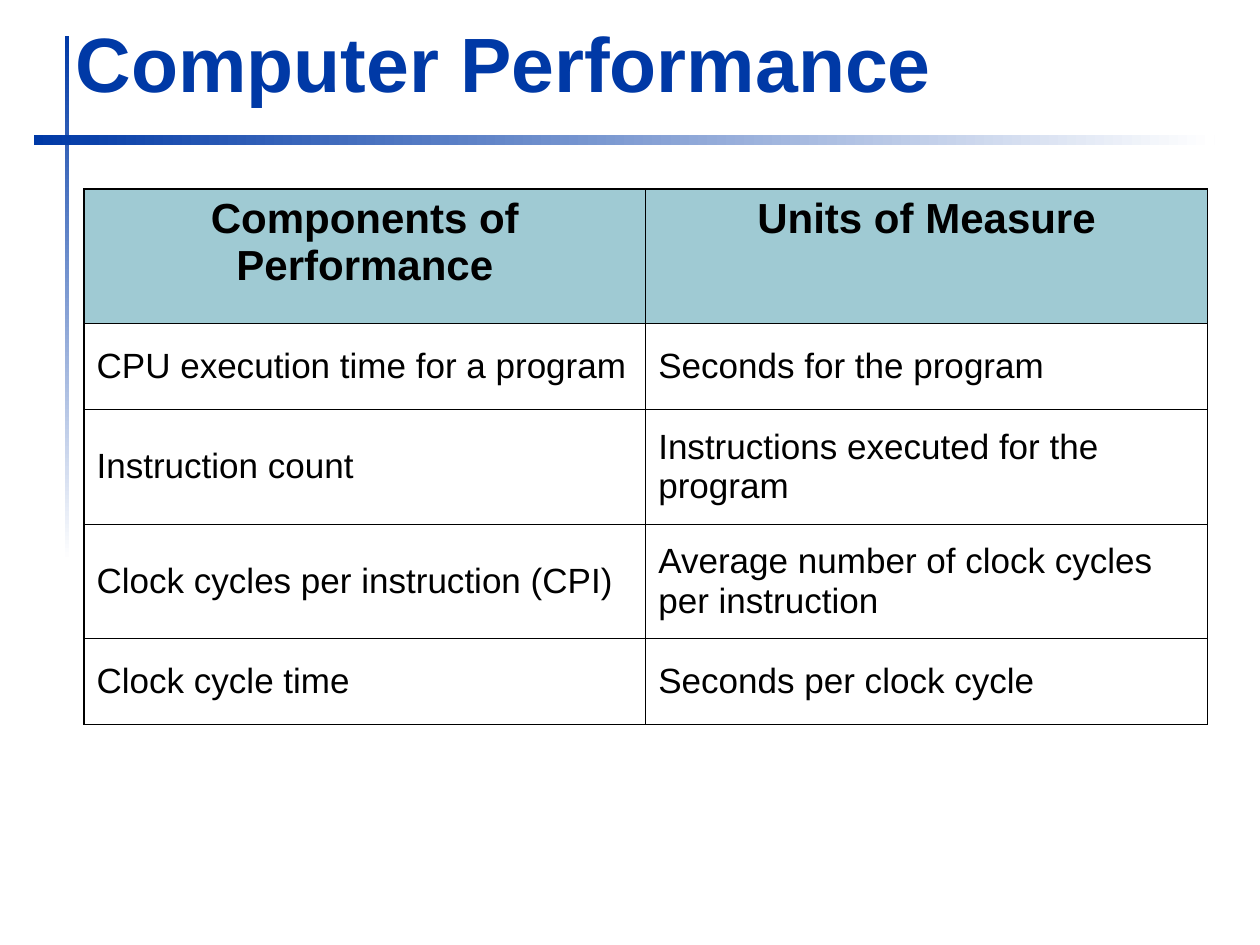
import pptx
import pptx.util
import pptx.dml.color
import pptx.enum.shapes
import pptx.enum.text
import pptx.oxml
import pptx.oxml.ns

Pt = pptx.util.Pt
ALIGN = pptx.enum.text.PP_ALIGN
ANCHOR = pptx.enum.text.MSO_ANCHOR
BLUE, WHITE, BLACK, TEAL = "0039A6", "FFFFFF", "000000", "9FCAD3"
OUTER, INNER = 1.08, 0.45


def color(value):
    return pptx.dml.color.RGBColor.from_string(value)


def add_border(cell, side, width):
    """Draw one side (L, R, T or B) of a cell; call before setting its fill."""
    cell._tc.get_or_add_tcPr().append(pptx.oxml.parse_xml(
        f'<a:ln{side} {pptx.oxml.ns.nsdecls("a")} w="{Pt(width)}">'
        f'<a:solidFill><a:srgbClr val="{BLACK}"/></a:solidFill></a:ln{side}>'))


deck = pptx.Presentation()
deck.slide_width, deck.slide_height = Pt(720), Pt(540)
page = deck.slides.add_slide(deck.slide_layouts[5])

# Title
title = page.shapes.title
title.left, title.top, title.width, title.height = Pt(36), Pt(5.76), Pt(648), Pt(59.76)
frame = title.text_frame
frame.text = "Computer Performance"
frame.vertical_anchor = ANCHOR.BOTTOM
frame.auto_size = pptx.enum.text.MSO_AUTO_SIZE.SHAPE_TO_FIT_TEXT
para = frame.paragraphs[0]
para.alignment = ALIGN.LEFT
font = para.runs[0].font
font.name, font.size, font.bold = "Arial", Pt(44), True
font.color.rgb = color(BLUE)

# Fading bars: left, top, width, height, counter-clockwise angle
bars = [
    (36.9, 20.4, 2.6, 300, 270),
    (19.6, 77.1, 674.6, 5.7, 0),
]
for *place, angle in bars:
    bar = page.shapes.add_shape(
        pptx.enum.shapes.MSO_SHAPE.RECTANGLE, *(Pt(length) for length in place))
    bar.shadow.inherit = False
    bar.line.fill.background()
    bar.fill.gradient()
    bar.fill.gradient_angle = angle
    for stop, shade in zip(bar.fill.gradient_stops, (BLUE, WHITE)):
        stop.color.rgb = color(shade)

# Table
rows = [
    ("Components of Performance", "Units of Measure"),
    ("CPU execution time for a program", "Seconds for the program"),
    ("Instruction count", "Instructions executed for the program"),
    ("Clock cycles per instruction (CPI)", "Average number of clock cycles per instruction"),
    ("Clock cycle time", "Seconds per clock cycle"),
]
heights = [77, 49, 65.5, 65.5, 49]
column_width = 321
table = page.shapes.add_table(
    len(rows), 2, Pt(48), Pt(108), Pt(2 * column_width), Pt(sum(heights))).table
table.first_row = table.horz_banding = False
for column in table.columns:
    column.width = Pt(column_width)

for i, (texts, height) in enumerate(zip(rows, heights)):
    table.rows[i].height = Pt(height)
    header = i == 0
    for j, text in enumerate(texts):
        cell = table.cell(i, j)
        on_edge = {"L": j == 0, "R": j == 1, "T": header, "B": i == len(rows) - 1}
        for side, outside in on_edge.items():
            add_border(cell, side, OUTER if outside else INNER)
        if header:
            cell.fill.solid()
            cell.fill.fore_color.rgb = color(TEAL)
        else:
            cell.fill.background()
        cell.vertical_anchor = ANCHOR.TOP if header else ANCHOR.MIDDLE
        cell.text_frame.text = text
        para = cell.text_frame.paragraphs[0]
        para.alignment = ALIGN.CENTER if header else ALIGN.LEFT
        para.space_after = Pt(0 if header else 6)
        font = para.runs[0].font
        font.name, font.size, font.bold = "Arial", Pt(24 if header else 20), header
        font.color.rgb = color(BLACK)

deck.save("out.pptx")
